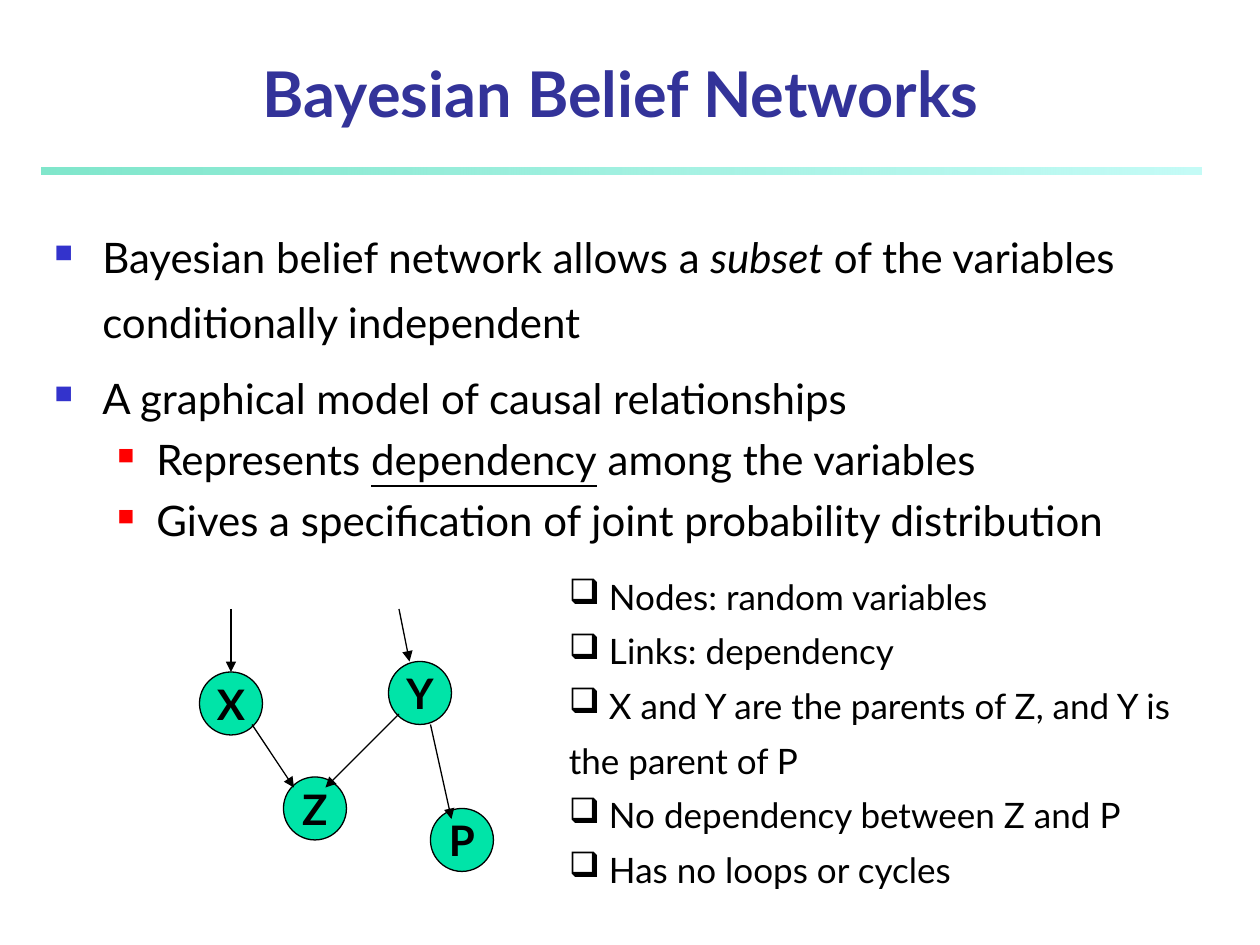
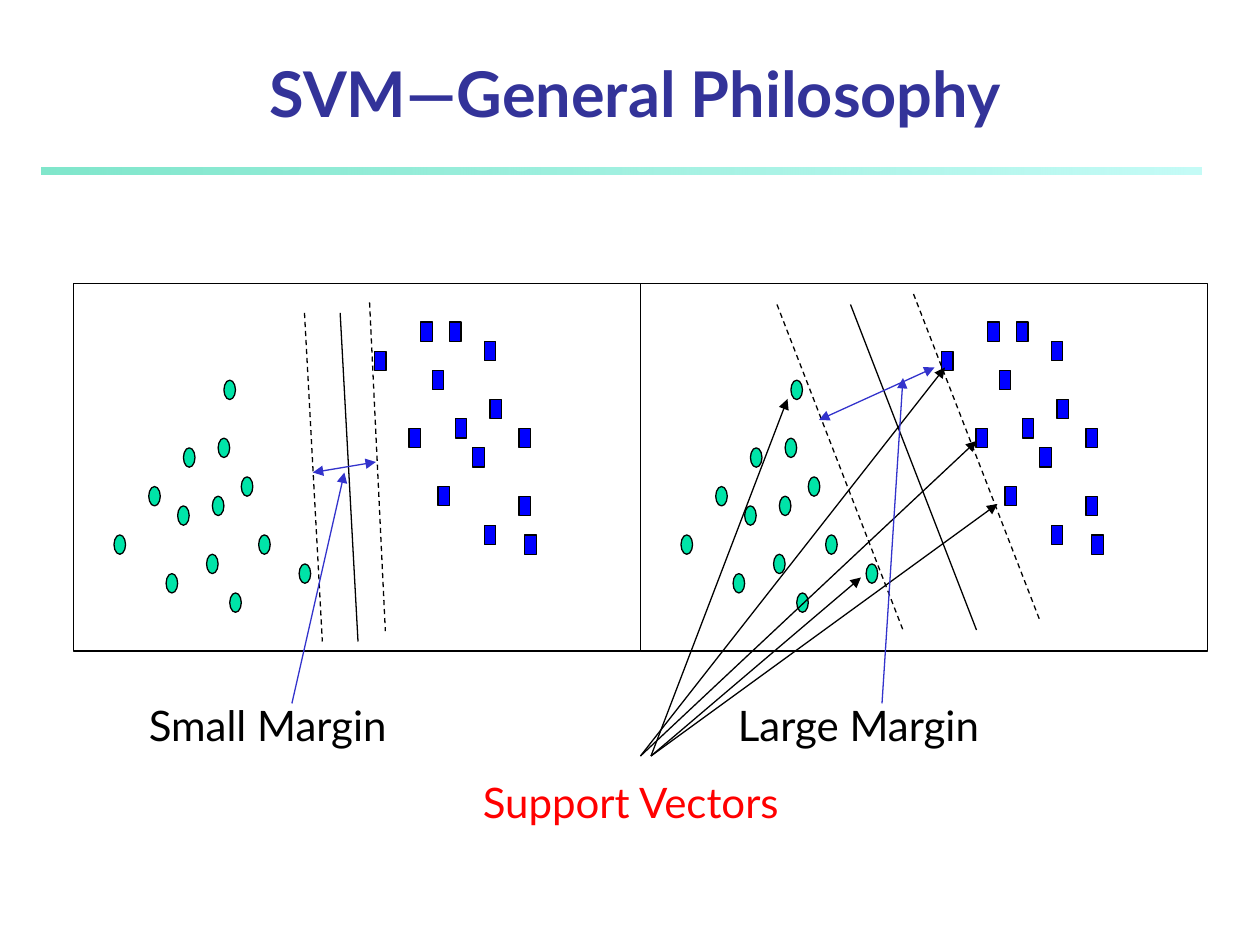
import lxml.etree
import pptx
import pptx.dml.color
import pptx.enum.dml
import pptx.enum.shapes
import pptx.enum.text
import pptx.oxml.ns
import pptx.util

SHAPE = pptx.enum.shapes.MSO_SHAPE
ANCHOR = pptx.enum.text.MSO_ANCHOR
ALIGN = pptx.enum.text.PP_ALIGN
UNITS_PER_INCH = 12
COLORS = {
    "title": "333399", "text": "000000", "accent": "3333CC", "alert": "FF0000",
    "node": "00E4A8", "square": "0000FF", "band_start": "00CE98", "band_end": "8FF9EF",
}
BULLETS = {
    "main": {"char": "■", "color": "accent", "percent": 60, "left": 0.38, "hang": 0.38,
             "format": {"line_spacing": 1.3, "space_before": pptx.util.Pt(6)}},
    "sub": {"char": "■", "color": "alert", "percent": 55, "left": 0.81, "hang": 0.31,
            "format": {"level": 1, "space_before": pptx.util.Pt(6)}},
    "check": {"char": "❑", "color": "text", "percent": 100, "left": 0, "hang": 0,
              "format": {"line_spacing": 1.3}},
}
CIRCLES = [(16, 30), (18, 23), (7, 26), (13, 21), (23, 28), (19, 17), (24, 22),
           (25, 16), (29, 20), (32, 26), (27, 32), (39, 29), (26, 10)]
SQUARES = [(58, 15), (52, 7), (60, 4), (63, 21), (62, 9), (66, 14), (65, 4),
           (71, 6), (69, 17), (72, 12), (71, 25), (77, 15), (77, 22), (78, 26)]


class SlideBuilder:
    """Hold the deck style and the current slide, placed on a 120 by 90 grid."""

    def __init__(self):
        self.deck = pptx.Presentation()
        self.deck.slide_width = self.units(120)
        self.deck.slide_height = self.units(90)
        self.layout = self.deck.slide_layouts[5]
        self.page = None

    def units(self, count):
        return pptx.util.Inches(count / UNITS_PER_INCH)

    def color(self, name):
        return pptx.dml.color.RGBColor.from_string(COLORS[name])

    def apply(self, target, values):
        for name, value in values.items():
            setattr(target, name, value)

    def element(self, parent, tag, **attributes):
        child = lxml.etree.SubElement(parent, pptx.oxml.ns.qn(tag))
        for name, value in attributes.items():
            child.set(name, str(value))
        return child

    def place(self, shape, area):
        sides = ("left", "top", "width", "height")
        self.apply(shape, dict(zip(sides, map(self.units, area))))

    def span(self, para, text, size, color="text", **values):
        span = para.add_run()
        span.text = text
        style = {"name": "Lato", "size": pptx.util.Pt(size)}
        self.apply(span.font, {**style, **values})
        span.font.color.rgb = self.color(color)

    def start(self, title, width):
        self.page = self.deck.slides.add_slide(self.layout)
        box = self.page.shapes.title
        self.place(box, (4, 5, width, 8))
        frame = box.text_frame
        self.apply(frame, {"vertical_anchor": ANCHOR.BOTTOM, "word_wrap": True,
                           "auto_size": pptx.enum.text.MSO_AUTO_SIZE.NONE})
        para = frame.paragraphs[0]
        para.alignment = ALIGN.CENTER
        self.span(para, title, 36, "title", bold=True)

    def shape(self, kind, area, fill=None):
        box = self.page.shapes.add_shape(kind, *map(self.units, area))
        box.shadow.inherit = False
        box.line.color.rgb = self.color("text")
        box.line.width = pptx.util.Pt(0.75)
        if fill:
            box.fill.solid()
            box.fill.fore_color.rgb = self.color(fill)
        else:
            box.fill.background()
        return box

    def shared_band(self):
        band = self.shape(SHAPE.RECTANGLE, (4, 16, 110.4, 0.6))
        band.line.fill.background()
        band.fill.gradient()
        band.fill.gradient_angle = 0
        ends = (("band_start", 0), ("band_end", 1))
        for stop, (name, position) in zip(band.fill.gradient_stops, ends):
            stop.color.rgb = self.color(name)
            stop.position = position
        tints = band.element.spPr.iter(pptx.oxml.ns.qn("a:srgbClr"))
        for tint, opacity in zip(list(tints), (50, 52)):
            self.element(tint, "a:alpha", val=opacity * 1000)
        self.layout.shapes.element.append(band.element)

    def node(self, letter, left, top):
        box = self.shape(SHAPE.FLOWCHART_CONNECTOR, (left, top, 6, 6), "node")
        frame = box.text_frame
        self.apply(frame, {"word_wrap": False, "vertical_anchor": ANCHOR.MIDDLE})
        para = frame.paragraphs[0]
        para.alignment = ALIGN.CENTER
        self.span(para, letter, 24, bold=True)
        return box

    def link(self, start, end, color="text", heads=("tail",), dashed=False):
        straight = pptx.enum.shapes.MSO_CONNECTOR.STRAIGHT
        line = self.page.shapes.add_connector(straight, *map(self.units, start + end))
        line.line.color.rgb = self.color(color)
        line.line.width = pptx.util.Pt(0.75)
        if dashed:
            line.line.dash_style = pptx.enum.dml.MSO_LINE.DASH
        outline = line.element.spPr.find(pptx.oxml.ns.qn("a:ln"))
        for head in heads:
            self.element(outline, f"a:{head}End", type="triangle")
        self.element(line.element.spPr, "a:effectLst")
        return line

    def text(self, area):
        box = self.page.shapes.add_textbox(*map(self.units, area))
        box.text_frame.word_wrap = True
        return box.text_frame

    def label(self, text, area, color="text"):
        self.span(self.text(area).paragraphs[0], text, 24, color)

    def bullets(self, area, size, items):
        frame = self.text(area)
        for index, (kind, spans) in enumerate(items):
            para = frame.add_paragraph() if index else frame.paragraphs[0]
            rule = BULLETS[kind]
            properties = para._p.get_or_add_pPr()
            properties.set("marL", str(pptx.util.Inches(rule["left"])))
            properties.set("indent", str(-pptx.util.Inches(rule["hang"])))
            tint = self.element(properties, "a:buClr")
            self.element(tint, "a:srgbClr", val=COLORS[rule["color"]])
            self.element(properties, "a:buSzPct", val=rule["percent"] * 1000)
            self.element(properties, "a:buChar", char=rule["char"])
            self.apply(para, rule["format"])
            if index == 0:
                para.space_before = pptx.util.Pt(0)
            for text, values in spans:
                self.span(para, text, size, **values)

    def scatter(self, left, lines):
        top, width, height = 27, 54, 35
        column, row = width / 98, height / 38
        groups = ((SHAPE.OVAL, "node", CIRCLES), (SHAPE.RECTANGLE, "square", SQUARES))
        for kind, fill, points in groups:
            for x, y in points:
                area = (left + x * column, top + y * row, 2 * column, 2 * row)
                self.shape(kind, area, fill)
        self.shape(SHAPE.RECTANGLE, (left, top, width, height))
        for start, end, dashed in lines:
            self.link(start, end, heads=(), dashed=dashed)


def build_networks(builder):
    """Build the belief network slide."""
    builder.start("Bayesian Belief Networks", 110.25)
    builder.shared_band()
    builder.bullets((4, 20, 112, 66), 24, [
        ("main", [("Bayesian belief network allows a ", {}), ("subset", {"italic": True}),
                  (" of the variables conditionally independent", {})]),
        ("main", [("A graphical model of causal relationships", {})]),
        ("sub", [("Represents ", {}), ("dependency", {"underline": True}),
                 (" among the variables", {})]),
        ("sub", [("Gives a specification of joint probability distribution", {})]),
    ])
    places = {"X": (19, 64), "Y": (37, 63), "Z": (27, 74), "P": (41, 77)}
    nodes = {letter: builder.node(letter, *place) for letter, place in places.items()}
    for start, end in (((24, 69), (28, 75)), ((38, 68), (31, 75)),
                       ((41, 69), (43, 78)), ((38, 58), (39, 63))):
        builder.link(start, end)
    builder.link((22, 58), (22, 64)).end_connect(nodes["X"], 0)
    facts = (" Nodes: random variables", " Links: dependency",
             " X and Y are the parents of Z, and Y is the parent of P",
             " No dependency between Z and P", " Has no loops or cycles")
    builder.bullets((53, 53, 64.8, 32.4), 20, [("check", [(fact, {})]) for fact in facts])


def build_margins(builder):
    """Build the support vector machine slide."""
    builder.start("SVM—General Philosophy", 113)
    builder.scatter(7, [((35.2, 28.8), (36.7, 60.1), True),
                        ((29, 29.8), (30.7, 61.1), True),
                        ((32.4, 29.8), (34.1, 61.1), False)])
    builder.scatter(61, [((74, 29), (86, 60), True),
                         ((87, 28), (99, 59), True),
                         ((81, 29), (93, 60), False)])
    builder.label("Support Vectors", (44.8, 73.4, 32.5, 6), "alert")
    for x, target in ((61, (90, 35)), (61, (93, 42)), (62, (95, 48)),
                      (62, (82, 55)), (62, (75, 38))):
        builder.link((x, 72), target)
    margins = (
        ("Small Margin", 13, ((29.8, 45), (35.8, 44)), ((27.8, 67), (32.8, 45))),
        ("Large Margin", 69.1, ((78, 40), (89, 35)), ((84, 67), (86, 36))),
    )
    for text, left, span, pointer in margins:
        builder.label(text, (left, 66, 27.6, 6))
        builder.link(*span, color="accent", heads=("head", "tail"))
        builder.link(*pointer, color="accent")


def main():
    """Build both slides and save the deck."""
    builder = SlideBuilder()
    build_networks(builder)
    build_margins(builder)
    builder.deck.save("out.pptx")


if __name__ == "__main__":
    main()
